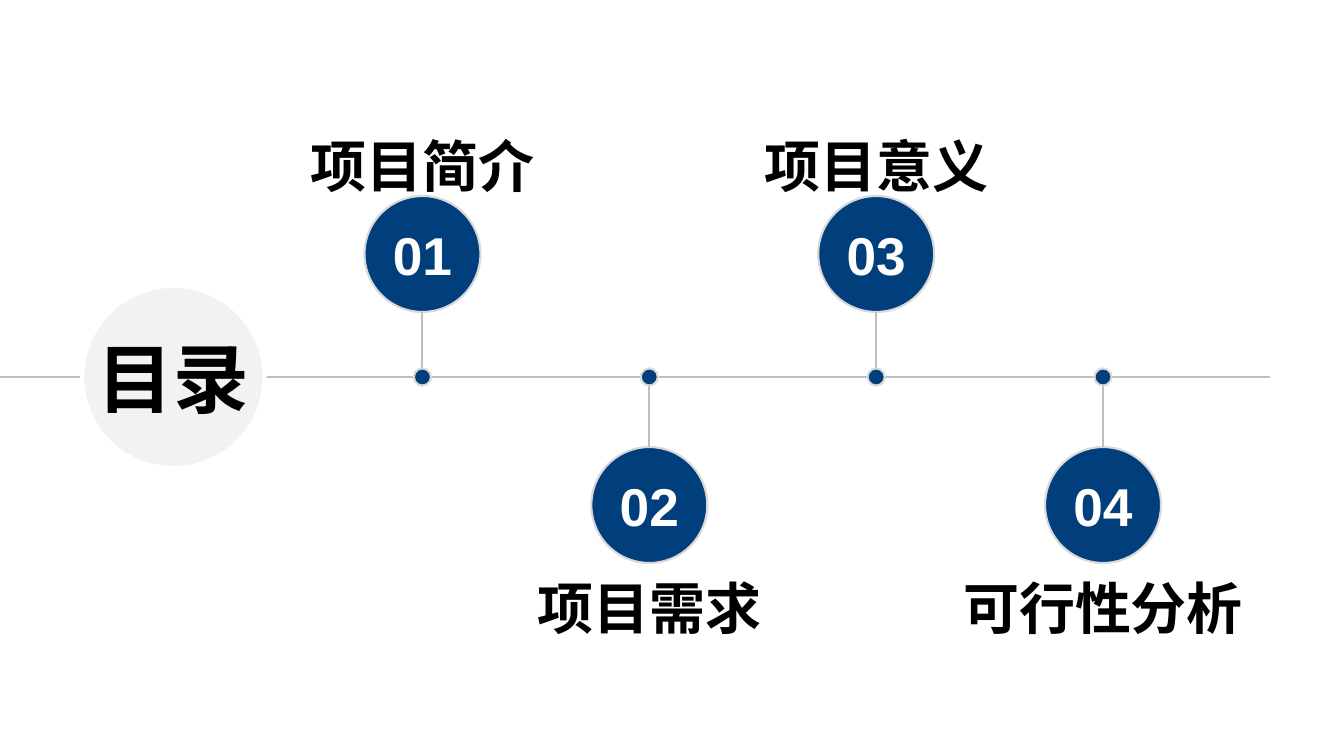
import pptx
import pptx.util
import pptx.dml.color
import pptx.oxml
import pptx.oxml.ns
import pptx.enum.shapes
import pptx.enum.text

Inches, Pt = pptx.util.Inches, pptx.util.Pt

COLORS = {
    "navy": "003F7B",
    "axis": "BFBFBF",
    "ring": "D9D9D9",
    "pale": "F2F2F2",
    "white": "FFFFFF",
    "black": "000000",
}
TOPICS = ["项目简介", "项目需求", "项目意义", "可行性分析"]
AXIS_Y = 3.74
FIRST_X, STEP_X = 4.19, 2.25
DOT, BADGE, HUB = 0.17, 1.15, 1.81
LABEL_W, LABEL_H = 3.1, 0.43


def rgb(name):
    return pptx.dml.color.RGBColor.from_string(COLORS[name])


def add_line(slide, x1, y1, x2, y2, width):
    line = slide.shapes.add_connector(
        pptx.enum.shapes.MSO_CONNECTOR.STRAIGHT,
        Inches(x1), Inches(y1), Inches(x2), Inches(y2))
    line.line.color.rgb = rgb("axis")
    line.line.width = Pt(width)
    sp_pr = line.element.find(pptx.oxml.ns.qn("p:spPr"))
    sp_pr.append(pptx.oxml.parse_xml(
        f"<a:effectLst {pptx.oxml.ns.nsdecls('a')}/>"))


def add_circle(slide, cx, cy, size, fill, outline, width):
    sp = slide.shapes.add_shape(
        pptx.enum.shapes.MSO_SHAPE.OVAL,
        Inches(cx - size / 2), Inches(cy - size / 2), Inches(size), Inches(size))
    sp.shadow.inherit = False
    sp.fill.solid()
    sp.fill.fore_color.rgb = rgb(fill)
    sp.line.color.rgb = rgb(outline)
    sp.line.width = Pt(width)
    return sp


def set_text(sp, text, size, color, wrap=True, spacing=1.0):
    tf = sp.text_frame
    tf.text = text
    tf.word_wrap = wrap
    tf.auto_size = pptx.enum.text.MSO_AUTO_SIZE.NONE
    tf.vertical_anchor = pptx.enum.text.MSO_ANCHOR.MIDDLE
    tf.margin_left = tf.margin_right = tf.margin_top = tf.margin_bottom = 0
    p = tf.paragraphs[0]
    p.alignment = pptx.enum.text.PP_ALIGN.CENTER
    p.line_spacing = spacing
    p.font.name = "Arial"
    p.font.size = Pt(size)
    p.font.bold = True
    p.font.color.rgb = rgb(color)


def add_hub(slide, cx, cy, size):
    """Place the slide title on a pale circle that interrupts the axis."""
    hub = add_circle(slide, cx, cy, size, "pale", "white", 3)
    title = slide.shapes.title
    title.left, title.top = hub.left, hub.top
    title.width, title.height = hub.width, hub.height
    set_text(title, "目录", 54, "black", wrap=False)
    # Bring the title in front of its circle
    title.element.getparent().append(title.element)


def add_topic(slide, cx, cy, number, text, side):
    """Hang one topic from the axis; side is -1 for above and 1 for below."""
    badge_y = cy + side * 1.27 if side > 0 else cy - 1.22
    label_y = cy + 2.25 if side > 0 else cy - 2.13
    add_circle(slide, cx, cy, DOT, "navy", "ring", 1.5)
    badge = add_circle(slide, cx, badge_y, BADGE, "navy", "ring", 1.5)
    set_text(badge, f"{number:02d}", 38, "white")
    label = slide.shapes.add_textbox(
        Inches(cx - LABEL_W / 2), Inches(label_y - LABEL_H / 2),
        Inches(LABEL_W), Inches(LABEL_H))
    set_text(label, text, 40, "black", spacing=1.1)
    add_line(slide, cx, cy + side * DOT / 2, cx, badge_y - side * BADGE / 2, 1.5)


def build_contents(prs):
    slide = prs.slides.add_slide(prs.slide_layouts[5])
    add_line(slide, 0, AXIS_Y, 12.6, AXIS_Y, 1.75)
    add_hub(slide, 1.72, AXIS_Y, HUB)
    for i, text in enumerate(TOPICS):
        side = -1 if i % 2 == 0 else 1
        add_topic(slide, FIRST_X + i * STEP_X, AXIS_Y, i + 1, text, side)


def main():
    prs = pptx.Presentation()
    prs.slide_width, prs.slide_height = Inches(13.33), Inches(7.5)
    build_contents(prs)
    prs.save("out.pptx")


if __name__ == "__main__":
    main()
